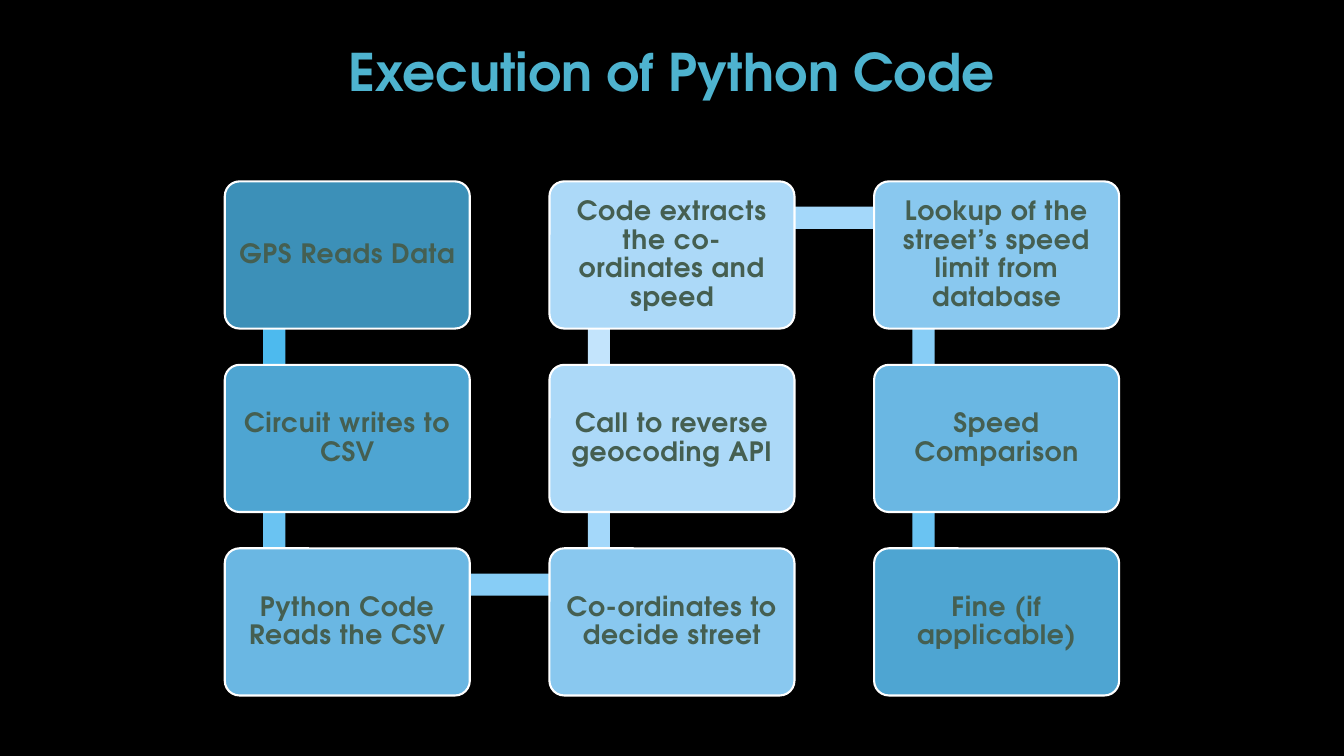
from itertools import zip_longest

from pptx import Presentation
from pptx import util as u
from pptx.dml.color import RGBColor
from pptx.enum import shapes, text

COLORS = {
    "background": "000000",
    "title": "4EB3CF",
    "label": "455F51",
    "outline": "FFFFFF",
}

# Column, row, box fill and label of each step, in flow order
STEPS = [
    (0, 0, "3C90B8", "GPS Reads Data"),
    (0, 1, "4EA5D2", "Circuit writes to CSV"),
    (0, 2, "6AB7E3", "Python Code Reads the CSV"),
    (1, 2, "89C8EF", "Co-ordinates to decide street"),
    (1, 1, "ACD9F8", "Call to reverse geocoding API"),
    (1, 0, "ACD9F8", "Code extracts the co-ordinates and speed"),
    (2, 0, "89C8EF", "Lookup of the street’s speed limit from database"),
    (2, 1, "6AB7E3", "Speed Comparison"),
    (2, 2, "4EA5D2", "Fine (if applicable)"),
]

# Fill of the bar from each step to the next
BAR_FILLS = ["4DBAEE", "6AC3F2", "87CDF6", "A4D8FA",
             "C3E4FC", "A4D8FA", "87CDF6", "6AC3F2"]


class FlowSlide:
    font = "TeX Gyre Adventor"
    left, top = 2.23, 1.8                # corner of the grid
    column_step, row_step = 3.22, 1.82
    box_width, box_height = 2.43, 1.46
    bar_x, bar_y = 0.49, 0.36            # where bars meet inside a box
    bar_thickness = 0.22

    def __init__(self, presentation):
        self.slide = presentation.slides.add_slide(presentation.slide_layouts[5])
        fill = self.slide.background.fill
        fill.solid()
        fill.fore_color.rgb = self.color("background")

    def color(self, name):
        return RGBColor.from_string(COLORS.get(name, name))

    def corner(self, column, row):
        return (self.left + column * self.column_step,
                self.top + row * self.row_step)

    def label(self, frame, words, size, color, anchor, spacing=0):
        frame.word_wrap = True
        frame.auto_size = text.MSO_AUTO_SIZE.NONE
        frame.vertical_anchor = anchor
        paragraph = frame.paragraphs[0]
        paragraph.alignment = text.PP_ALIGN.CENTER
        paragraph.line_spacing = 0.9
        run = paragraph.add_run()
        run.text = words
        run.font.name = self.font
        run.font.size = u.Pt(size)
        run.font.bold = True
        run.font.color.rgb = self.color(color)
        if spacing:
            run._r.get_or_add_rPr().set("spc", str(int(spacing * 100)))

    def title(self, words):
        shape = self.slide.shapes.title
        shape.left, shape.top = u.Inches(1.94), u.Inches(0.36)
        shape.width, shape.height = u.Inches(9.44), u.Inches(0.71)
        self.label(shape.text_frame, words, 37, "title", text.MSO_ANCHOR.BOTTOM)

    def block(self, kind, left, top, width, height, fill):
        shape = self.slide.shapes.add_shape(
            kind, *(u.Inches(value) for value in (left, top, width, height)))
        shape.shadow.inherit = False
        shape.fill.solid()
        shape.fill.fore_color.rgb = self.color(fill)
        shape.line.fill.background()
        return shape

    def bar(self, start, end, fill):
        (x1, y1), (x2, y2) = self.corner(*start), self.corner(*end)
        width = abs(x2 - x1) or self.bar_thickness
        height = abs(y2 - y1) or self.bar_thickness
        center_x = (x1 + x2) / 2 + self.bar_x
        center_y = (y1 + y2) / 2 + self.bar_y
        self.block(shapes.MSO_SHAPE.RECTANGLE, center_x - width / 2,
                   center_y - height / 2, width, height, fill)

    def box(self, cell, fill, words):
        shape = self.block(shapes.MSO_SHAPE.ROUNDED_RECTANGLE, *self.corner(*cell),
                           self.box_width, self.box_height, fill)
        shape.adjustments[0] = 0.1
        shape.line.color.rgb = self.color("outline")
        shape.line.width = u.Pt(1.5)
        frame = shape.text_frame
        # The rounded corners add a small inset of their own
        frame.margin_left = frame.margin_right = u.Inches(0.08)
        frame.margin_top = frame.margin_bottom = u.Inches(0.08)
        self.label(frame, words, 19, "label", text.MSO_ANCHOR.MIDDLE, spacing=0.5)


def main():
    presentation = Presentation()
    presentation.slide_width = u.Inches(13.33)
    presentation.slide_height = u.Inches(7.5)

    flow = FlowSlide(presentation)
    flow.title("Execution of Python Code")

    # Each bar lies behind the boxes it joins
    for step, following, bar_fill in zip_longest(STEPS, STEPS[1:], BAR_FILLS):
        column, row, fill, words = step
        if following:
            flow.bar((column, row), following[:2], bar_fill)
        flow.box((column, row), fill, words)

    presentation.save("out.pptx")


if __name__ == "__main__":
    main()
